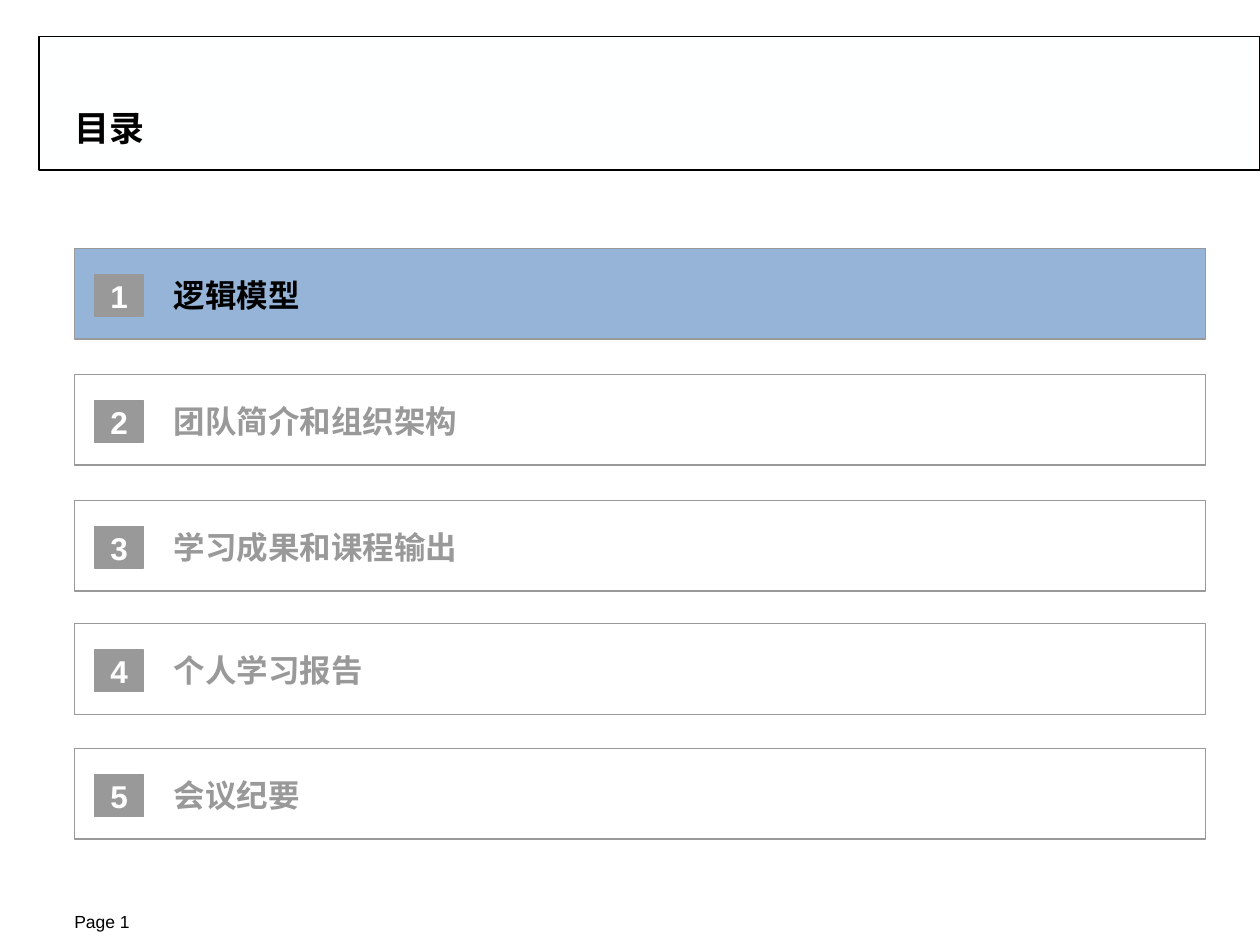
from pptx import Presentation
from pptx.dml.color import RGBColor
from pptx.enum.shapes import MSO_SHAPE as Shape
from pptx.enum.text import MSO_ANCHOR as Anchor, MSO_AUTO_SIZE as AutoSize, PP_ALIGN as Align
from pptx.util import Inches, Pt

BLACK = RGBColor(0x00, 0x00, 0x00)
WHITE = RGBColor(0xFF, 0xFF, 0xFF)
HEADER_WHITE = RGBColor(0xFE, 0xFF, 0xFF)
GREY = RGBColor(0x99, 0x99, 0x99)
BLUE = RGBColor(0x96, 0xB4, 0xD7)

LEFT = 0.59
ROW_WIDTH, ROW_HEIGHT = 8.98, 0.72
LABEL_LEFT, LABEL_HEIGHT = 1.38, 0.3
AGENDA = [
    (1.97, "逻辑模型"),
    (2.97, "团队简介和组织架构"),
    (3.97, "学习成果和课程输出"),
    (4.95, "个人学习报告"),
    (5.94, "会议纪要"),
]
CURRENT = 1


def apply(target, values):
    """Set each attribute in values on target."""
    for name, value in values.items():
        setattr(target, name, value)


class SlideBuilder:
    """Holds the text style and the current slide."""

    font = {"name": "Arial", "size": Pt(18), "bold": True}
    frame = {"margin_left": 0, "margin_right": 0, "margin_top": 0, "margin_bottom": 0,
             "word_wrap": True, "auto_size": AutoSize.NONE,
             "vertical_anchor": Anchor.MIDDLE}

    def __init__(self, slide):
        """Keep the slide to draw on."""
        self.slide = slide

    def set_text(self, shape, text, color, align=Align.LEFT, font=None, frame=None):
        """Put one formatted paragraph into a shape."""
        apply(shape.text_frame, {**self.frame, **(frame or {})})
        paragraph = shape.text_frame.paragraphs[0]
        paragraph.alignment = align
        run = paragraph.add_run()
        run.text = text
        apply(run.font, {**self.font, **(font or {})})
        run.font.color.rgb = color

    def box(self, left, top, width, height, fill, line):
        """Add a flat rectangle with a thin outline."""
        shape = self.slide.shapes.add_shape(
            Shape.RECTANGLE, Inches(left), Inches(top), Inches(width), Inches(height))
        shape.shadow.inherit = False
        shape.fill.solid()
        shape.fill.fore_color.rgb = fill
        shape.line.color.rgb = line
        shape.line.width = Pt(0.75)
        return shape

    def text(self, left, top, width, height, text, color, **style):
        """Add a text box."""
        shape = self.slide.shapes.add_textbox(
            Inches(left), Inches(top), Inches(width), Inches(height))
        self.set_text(shape, text, color, **style)

    def title(self, text):
        """Fill the title placeholder and set it in front of the header box."""
        header = self.box(0.31, 0.29, 9.69, 1.06, HEADER_WHITE, BLACK)
        title = self.slide.shapes.title
        title.element.addprevious(header.element)
        apply(title, {"left": Inches(LEFT), "top": Inches(0.29),
                      "width": Inches(6.99), "height": Inches(0.89)})
        self.set_text(title, text, BLACK, font={"size": Pt(20)},
                      frame={"vertical_anchor": Anchor.BOTTOM})

    def agenda_row(self, number, top, label):
        """Add one agenda row: frame, label and number badge."""
        current = number == CURRENT
        self.box(LEFT, top, ROW_WIDTH, ROW_HEIGHT, BLUE if current else WHITE, GREY)
        self.text(LABEL_LEFT, top + 0.22, LEFT + ROW_WIDTH - LABEL_LEFT, LABEL_HEIGHT,
                  label, BLACK if current else GREY)
        badge = self.box(0.75, top + 0.21, 0.39, 0.33, GREY, GREY)
        self.set_text(badge, str(number), WHITE, align=Align.CENTER)


def main():
    """Build the agenda slide and save it."""
    presentation = Presentation()
    apply(presentation, {"slide_width": Inches(10), "slide_height": Inches(7.5)})
    builder = SlideBuilder(presentation.slides.add_slide(presentation.slide_layouts[5]))
    builder.title("目录")
    builder.text(LEFT, 7.23, 0.53, 0.17, "Page 1", BLACK,
                 font={"size": Pt(10), "bold": False},
                 frame={"word_wrap": False, "vertical_anchor": Anchor.BOTTOM})
    for number, (top, label) in enumerate(AGENDA, start=1):
        builder.agenda_row(number, top, label)
    presentation.save("out.pptx")


main()
